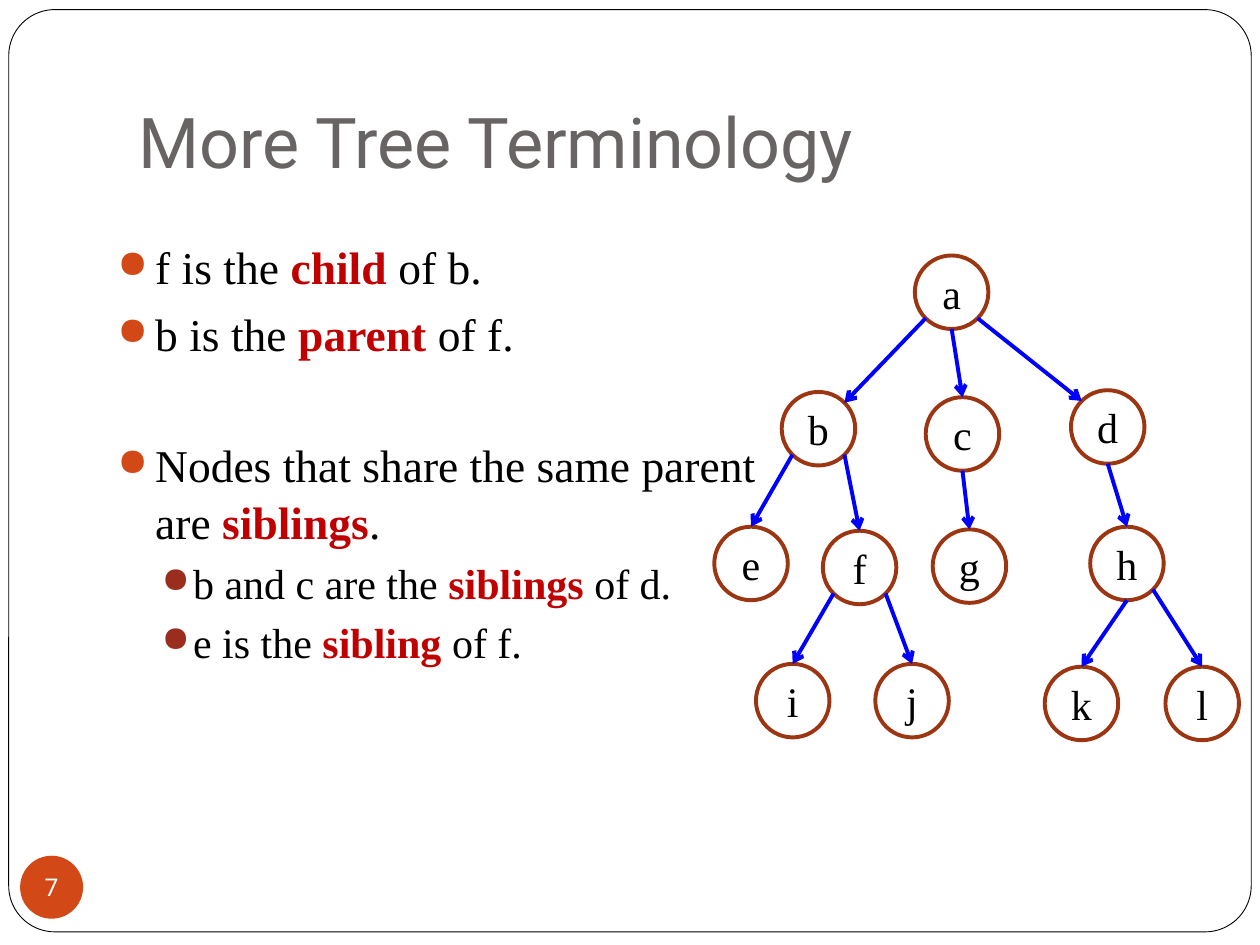
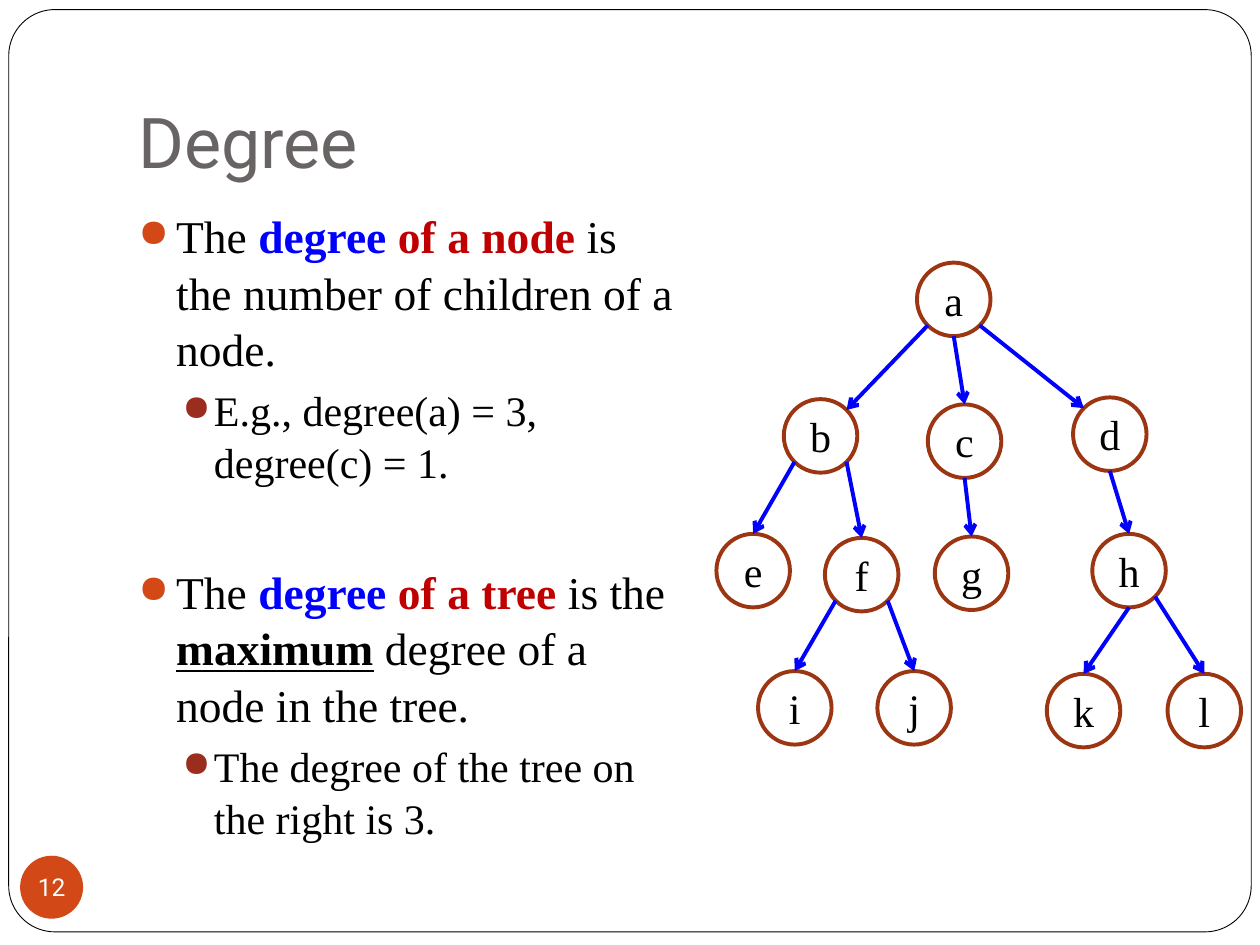
"""Build two slides on tree terminology, each with bullets and a tree diagram."""
import math
from dataclasses import dataclass

import lxml.etree
import pptx
import pptx.dml.color
import pptx.enum.shapes
import pptx.enum.text
import pptx.oxml.ns
import pptx.util

Pt = pptx.util.Pt
SHAPE = pptx.enum.shapes.MSO_SHAPE
ANCHOR = pptx.enum.text.MSO_ANCHOR
ALIGN = pptx.enum.text.PP_ALIGN

COLORS = {
    "paper": "FFFFFF",
    "ink": "000000",
    "title": "696464",
    "accent": "D34817",
    "sub_bullet": "9B2D1F",
    "term": "C00000",
    "blue": "0000FF",
    "node": "9C3511",
}
HEADING_FONT = "Roboto"
BODY_FONT = "Times New Roman"
NODE_RADIUS = 21
DIAGONAL = math.sqrt(0.5)
SITES = {
    "top": (0, -1),
    "bottom": (0, 1),
    "top left": (-DIAGONAL, -DIAGONAL),
    "top right": (DIAGONAL, -DIAGONAL),
    "bottom left": (-DIAGONAL, DIAGONAL),
    "bottom right": (DIAGONAL, DIAGONAL),
}


@dataclass(frozen=True)
class Span:
    text: str
    color: str = "ink"
    bold: bool = False
    underline: bool = False


@dataclass(frozen=True)
class Level:
    indent: float
    hanging: float
    size: float
    space: float
    bullet: str


@dataclass(frozen=True)
class Bullet:
    level: Level
    lines: list[list[Span]]
    gap: float = 0


@dataclass(frozen=True)
class Edge:
    parent: str
    child: str
    start: str = "bottom"
    end: str = "top"


@dataclass(frozen=True)
class Page:
    title: str
    number: int
    body: tuple[float, float, float, float]
    bullets: list[Bullet]
    tree_shift: tuple[float, float] = (0, 0)


MAIN = Level(21.6, 21.6, 26, 5.8, "accent")
SUB = Level(43.2, 18, 24, 3.7, "sub_bullet")
SECTION_GAP = 36.7

NODE_CENTERS = {
    "a": (543.8, 167),
    "b": (467.7, 245),
    "c": (550, 248),
    "d": (633, 244),
    "e": (429.2, 322),
    "f": (491.2, 324.3),
    "g": (554, 323.5),
    "h": (644, 322),
    "i": (453, 400.4),
    "j": (521.2, 400.4),
    "k": (618, 402),
    "l": (687, 402),
}
EDGES = [
    Edge("a", "b", "bottom left", "top right"),
    Edge("a", "c"),
    Edge("a", "d", "bottom right", "top left"),
    Edge("b", "e", "bottom left"),
    Edge("b", "f", "bottom right"),
    Edge("c", "g"),
    Edge("d", "h"),
    Edge("f", "i", "bottom left"),
    Edge("f", "j", "bottom right"),
    Edge("h", "k"),
    Edge("h", "l", "bottom right"),
]


def term(text: str) -> Span:
    """Return a span for a defined term."""
    return Span(text, "term", bold=True)


PAGES = [
    Page("More Tree Terminology", 7, (60, 132, 384, 360), [
        Bullet(MAIN, [[Span("f is the "), term("child "), Span("of b.")]]),
        Bullet(MAIN, [[Span("b is the "), term("parent"), Span(" of f.")]]),
        Bullet(MAIN, [[Span("Nodes that share the same parent")],
                      [Span("are "), term("siblings"), Span(".")]], SECTION_GAP),
        Bullet(SUB, [[Span("b and c are the "), term("siblings"), Span(" of d.")]]),
        Bullet(SUB, [[Span("e is the "), term("sibling"), Span(" of f.")]]),
    ]),
    Page("Degree", 12, (72, 114, 324, 360), [
        Bullet(MAIN, [[Span("The "), Span("degree ", "blue", bold=True), term("of a node"),
                       Span(" is the number of children of a node.")]]),
        Bullet(SUB, [[Span("E.g., degree(a) = 3,")], [Span("degree(c) = 1.")]]),
        Bullet(MAIN, [[Span("The "), Span("degree ", "blue", bold=True), term("of a tree"),
                       Span(" is the "), Span("maximum", bold=True, underline=True),
                       Span(" degree of a node in the tree.")]], SECTION_GAP),
        Bullet(SUB, [[Span("The degree of the tree on the right is 3.")]]),
    ], (1.2, 4.1)),
]


def rgb(name: str) -> pptx.dml.color.RGBColor:
    """Return the named colour."""
    return pptx.dml.color.RGBColor.from_string(COLORS[name])


def add_span(para, span: Span, size: float, font: str) -> None:
    """Append one formatted run to a paragraph."""
    run = para.add_run()
    run.text = span.text
    run.font.name = font
    run.font.size = Pt(size)
    run.font.bold = span.bold
    run.font.underline = span.underline
    run.font.color.rgb = rgb(span.color)


def add_outline(shapes, kind, bounds: tuple, fill: str = "", line: str = "", width: float = 0):
    """Add a preset shape with an optional fill and line."""
    shape = shapes.add_shape(kind, *map(Pt, bounds))
    shape.shadow.inherit = False
    if fill:
        shape.fill.solid()
        shape.fill.fore_color.rgb = rgb(fill)
    else:
        shape.fill.background()
    if line:
        shape.line.color.rgb = rgb(line)
        shape.line.width = Pt(width)
    else:
        shape.line.fill.background()
    return shape


def add_label(shape, span: Span, size: float, font: str) -> None:
    """Centre one label inside a shape."""
    frame = shape.text_frame
    frame.word_wrap = False
    frame.vertical_anchor = ANCHOR.MIDDLE
    frame.margin_left = frame.margin_right = frame.margin_top = frame.margin_bottom = 0
    para = frame.paragraphs[0]
    para.alignment = ALIGN.CENTER
    add_span(para, span, size, font)


def add_frame(slide, page: Page) -> None:
    """Draw the border, title and page number."""
    border = add_outline(slide.shapes, SHAPE.ROUNDED_RECTANGLE, (5, 5.5, 710, 527),
                         "paper", "ink", 0.5)
    border.adjustments[0] = 0.05
    box = slide.shapes.add_textbox(Pt(72), Pt(21.6), Pt(612), Pt(90))
    frame = box.text_frame
    frame.word_wrap = True
    frame.vertical_anchor = ANCHOR.BOTTOM
    frame.margin_bottom = Pt(7.2)
    add_span(frame.paragraphs[0], Span(page.title, "title"), 40, HEADING_FONT)
    badge = add_outline(slide.shapes, SHAPE.OVAL, (11.5, 489, 36, 36), "accent")
    add_label(badge, Span(str(page.number), "paper"), 14, HEADING_FONT)


def set_bullet(para, level: Level) -> None:
    """Give a paragraph its indent and bullet."""
    props = para._p.get_or_add_pPr()
    props.set("marL", str(Pt(level.indent)))
    props.set("indent", str(-Pt(level.hanging)))
    qn = pptx.oxml.ns.qn
    color = lxml.etree.SubElement(props, qn("a:buClr"))
    lxml.etree.SubElement(color, qn("a:srgbClr"), val=COLORS[level.bullet])
    lxml.etree.SubElement(props, qn("a:buSzPct"), val="85000")
    lxml.etree.SubElement(props, qn("a:buChar"), char="●")


def add_bullets(slide, page: Page) -> None:
    """Write the bulleted body text."""
    frame = slide.shapes.add_textbox(*map(Pt, page.body)).text_frame
    frame.word_wrap = True
    for index, bullet in enumerate(page.bullets):
        para = frame.add_paragraph() if index else frame.paragraphs[0]
        set_bullet(para, bullet.level)
        para.line_spacing = 1.04
        para.space_before = Pt(bullet.level.space + bullet.gap if index else 0)
        for row, line in enumerate(bullet.lines):
            if row:
                para.add_line_break()
            for span in line:
                add_span(para, span, bullet.level.size, BODY_FONT)


def add_arrow(shapes, start: tuple, end: tuple) -> None:
    """Draw an arrow between two points."""
    arrow = shapes.add_connector(pptx.enum.shapes.MSO_CONNECTOR.STRAIGHT,
                                 *map(Pt, start + end))
    arrow.line.color.rgb = rgb("blue")
    arrow.line.width = Pt(2.25)
    qn = pptx.oxml.ns.qn
    lxml.etree.SubElement(arrow.line._get_or_add_ln(), qn("a:tailEnd"), type="arrow")
    lxml.etree.SubElement(arrow._element.spPr, qn("a:effectLst"))


def add_tree(slide, shift: tuple[float, float]) -> None:
    """Draw the tree of nodes and arrows as one group."""
    shapes = slide.shapes.add_group_shape().shapes
    centers = {name: (x + shift[0], y + shift[1]) for name, (x, y) in NODE_CENTERS.items()}

    def site_point(name: str, site: str) -> tuple[float, float]:
        """Return a point on the rim of a node."""
        (x, y), (dx, dy) = centers[name], SITES[site]
        return x + dx * NODE_RADIUS, y + dy * NODE_RADIUS

    for name, (x, y) in centers.items():
        bounds = (x - NODE_RADIUS, y - NODE_RADIUS, 2 * NODE_RADIUS, 2 * NODE_RADIUS)
        node = add_outline(shapes, SHAPE.OVAL, bounds, line="node", width=2.25)
        add_label(node, Span(name), 24, BODY_FONT)
    for edge in EDGES:
        add_arrow(shapes, site_point(edge.parent, edge.start), site_point(edge.child, edge.end))


def main() -> None:
    """Build and save the deck."""
    deck = pptx.Presentation()
    deck.slide_width, deck.slide_height = Pt(720), Pt(540)
    for page in PAGES:
        slide = deck.slides.add_slide(deck.slide_layouts[6])
        add_frame(slide, page)
        add_bullets(slide, page)
        add_tree(slide, page.tree_shift)
    deck.save("out.pptx")


if __name__ == "__main__":
    main()
